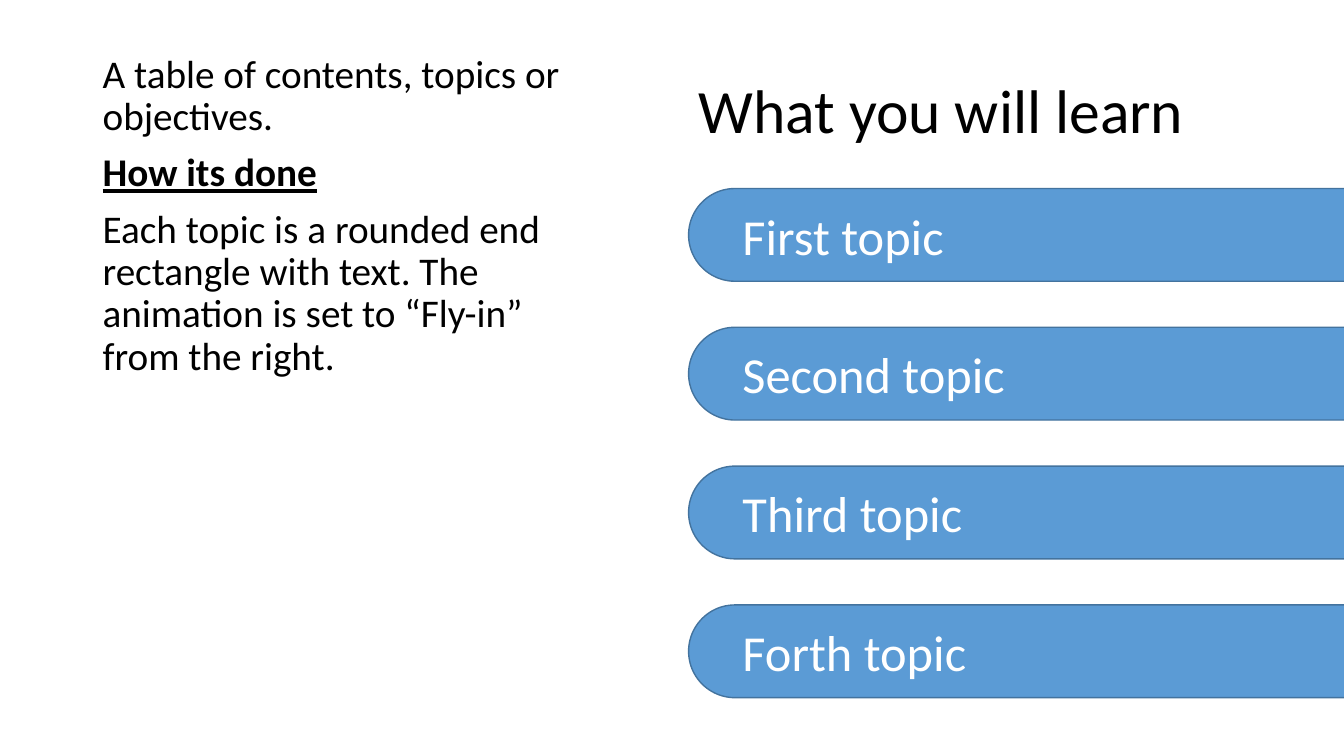
import pptx
import pptx.dml.color
import pptx.enum.shapes
import pptx.enum.text
import pptx.util
from pptx.util import Inches

# Content
HEADING = "What you will learn"
EXPLANATION = [  # text, is a subheading
    ("A table of contents, topics or objectives.", False),
    ("How its done", True),
    ("Each topic is a rounded end rectangle with text. "
     "The animation is set to “Fly-in” from the right.", False),
]
TOPICS = ["First topic", "Second topic", "Third topic", "Forth topic"]

THEME = {
    "font": "Calibri",
    "text": "000000", "bar": "5B9BD5", "bar_line": "43739E", "bar_text": "FFFFFF",
    "heading_size": 44, "body_size": 28, "topic_size": 36,
}

# Layout in inches
BAR_LEFT, BAR_TOP, BAR_WIDTH, BAR_HEIGHT = 6.83, 1.87, 7.06, 0.92
BAR_PITCH = 1.377


def color(role):
    return pptx.dml.color.RGBColor.from_string(THEME[role])


def add_run(paragraph, text, size, role, emphasis=False):
    run = paragraph.add_run()
    run.text = text
    run.font.name = THEME["font"]
    run.font.size = pptx.util.Pt(THEME[size])
    run.font.color.rgb = color(role)
    run.font.bold = run.font.underline = emphasis


def add_text_frame(slide, left, top, width, height):
    frame = slide.shapes.add_textbox(
        Inches(left), Inches(top), Inches(width), Inches(height)).text_frame
    frame.word_wrap = True
    return frame


def add_topic(slide, index, text):
    bar = slide.shapes.add_shape(
        pptx.enum.shapes.MSO_SHAPE.ROUNDED_RECTANGLE,
        Inches(BAR_LEFT), Inches(BAR_TOP + index * BAR_PITCH),
        Inches(BAR_WIDTH), Inches(BAR_HEIGHT))
    bar.adjustments[0] = 0.5
    bar.shadow.inherit = False
    bar.fill.solid()
    bar.fill.fore_color.rgb = color("bar")
    bar.line.color.rgb = color("bar_line")
    bar.line.width = pptx.util.Pt(1)
    frame = bar.text_frame
    frame.word_wrap = True
    frame.margin_left = Inches(0.4)
    frame.vertical_anchor = pptx.enum.text.MSO_ANCHOR.MIDDLE
    paragraph = frame.paragraphs[0]
    paragraph.alignment = pptx.enum.text.PP_ALIGN.LEFT
    add_run(paragraph, text, "topic_size", "bar_text")


def main():
    deck = pptx.Presentation()
    deck.slide_width, deck.slide_height = Inches(13.33), Inches(7.5)
    slide = deck.slides.add_slide(deck.slide_layouts[6])

    # Heading
    heading = add_text_frame(slide, BAR_LEFT, 0.4, 6.24, 1.45)
    heading.vertical_anchor = pptx.enum.text.MSO_ANCHOR.MIDDLE
    heading.paragraphs[0].line_spacing = 0.9
    add_run(heading.paragraphs[0], HEADING, "heading_size", "text")

    # Explanation on the left
    explanation = add_text_frame(slide, 0.92, 0.49, 5.04, 6.44)
    for index, (text, is_subheading) in enumerate(EXPLANATION):
        paragraph = explanation.add_paragraph() if index else explanation.paragraphs[0]
        paragraph.line_spacing = 0.9
        paragraph.space_before = pptx.util.Pt(10 if index else 0)
        add_run(paragraph, text, "body_size", "text", is_subheading)

    # Topic bars
    for index, topic in enumerate(TOPICS):
        add_topic(slide, index, topic)

    deck.save("out.pptx")


if __name__ == "__main__":
    main()
